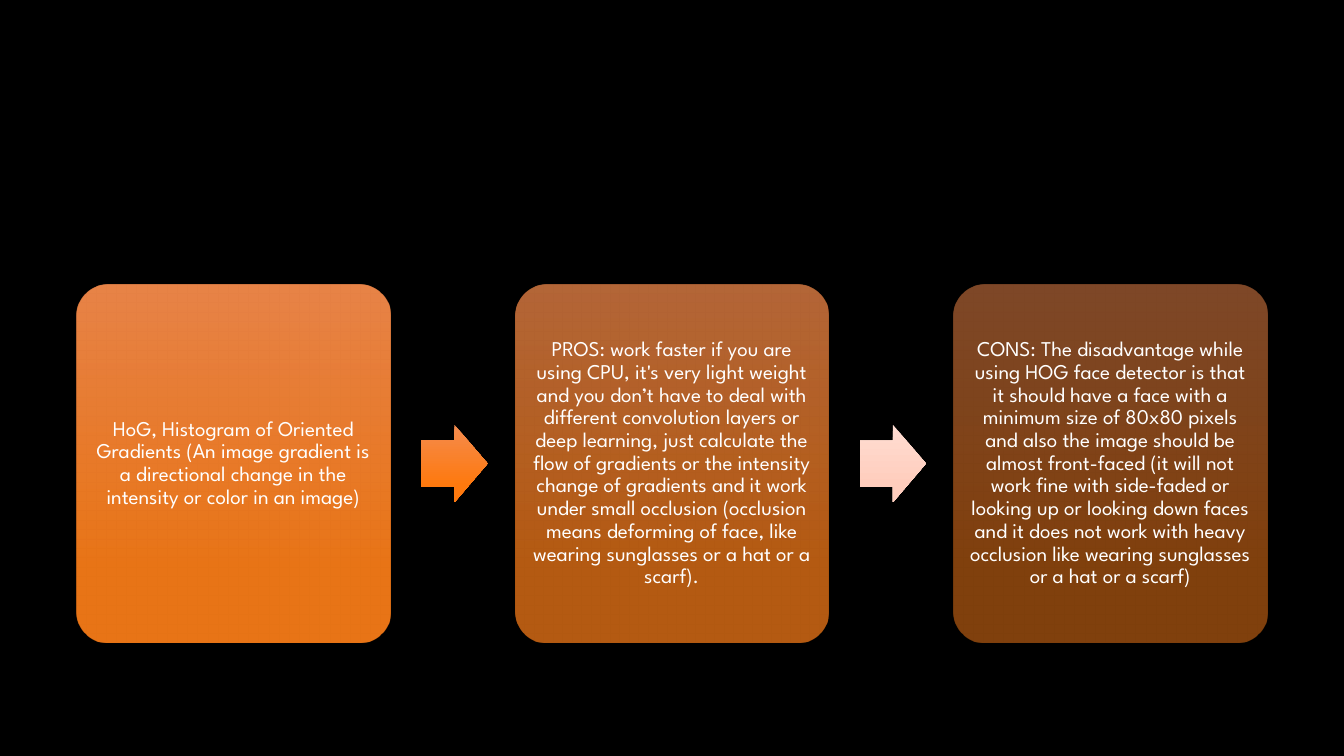
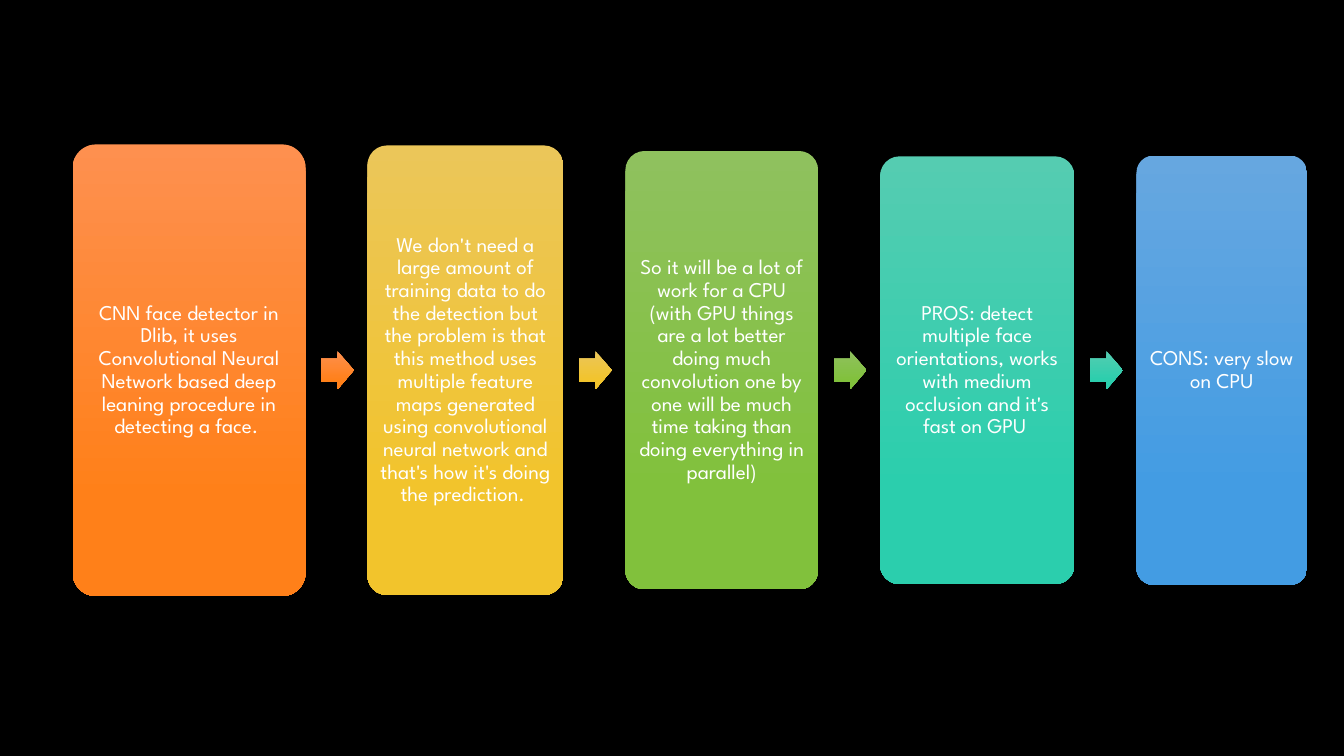
from dataclasses import dataclass

import pptx
import pptx.util
from pptx.dml.color import RGBColor
from pptx.enum.shapes import MSO_SHAPE
from pptx.enum.text import MSO_ANCHOR, PP_ALIGN
from pptx.oxml.ns import qn
from lxml import etree

Cm = pptx.util.Cm

FONT = "League Spartan"
BACKGROUND = "000000"
TEXT = "FFFFFF"

# Gradients as (top, bottom)
ORANGE = ("FE904F", "FF8019")
DEEP_ORANGE = ("F48B4E", "FE790E")
PEACH = ("FFDDD2", "FFCDBD")
YELLOW = ("EBC659", "F2C42C")
GREEN = ("8FC15E", "81C13C")
TEAL = ("55CCB1", "2BCEAD")
BLUE = ("66A7E0", "439CE3")


@dataclass
class Step:
    """A card and, unless arrow is None, the arrow after it; sizes in cm."""
    text: str
    width: float
    height: float
    colors: tuple
    arrow: tuple = None
    opacity: int = 100


HOG_STEPS = [
    Step("HoG, Histogram of Oriented Gradients (An image gradient is a "
         "directional change in the intensity or color in an image)",
         7.9, 9.04, ORANGE, DEEP_ORANGE, 90),
    Step("PROS: work faster if you are using CPU, it's very light weight and "
         "you don’t have to deal with different convolution layers or deep "
         "learning, just calculate the flow of gradients or the intensity "
         "change of gradients and it work under small occlusion (occlusion "
         "means deforming of face, like wearing sunglasses or a hat or a "
         "scarf).",
         7.9, 9.04, ORANGE, PEACH, 70),
    Step("CONS: The disadvantage while using HOG face detector is that it "
         "should have a face with a minimum size of 80x80 pixels and also the "
         "image should be almost front-faced (it will not work fine with "
         "side-faded or looking up or looking down faces and it does not work "
         "with heavy occlusion like wearing sunglasses or a hat or a scarf)",
         7.9, 9.04, ORANGE, None, 50),
]

CNN_STEPS = [
    Step("CNN face detector in Dlib, it uses Convolutional Neural Network "
         "based deep leaning procedure in detecting a face. ",
         5.87, 11.38, ORANGE, ORANGE),
    Step("We don't need a large amount of training data to do the detection "
         "but the problem is that this method uses multiple feature maps "
         "generated using convolutional neural network and that's how it's "
         "doing the prediction. ",
         4.94, 11.33, YELLOW, YELLOW),
    Step("So it will be a lot of work for a CPU (with GPU things are a lot "
         "better doing much convolution one by one will be much time taking "
         "than doing everything in parallel)",
         4.86, 11.05, GREEN, GREEN),
    Step("PROS: detect multiple face orientations, works with medium "
         "occlusion and it's fast on GPU ",
         4.9, 10.78, TEAL, TEAL),
    Step("CONS: very slow on CPU", 4.3, 10.82, BLUE),
]


def rgb(hex_color):
    return RGBColor.from_string(hex_color)


def add_gradient_shape(s, kind, left, middle, width, height, adjustments,
                       colors, opacity=100):
    """Add a borderless shape, centred on the height middle (cm)."""
    sp = s.shapes.add_shape(kind, Cm(left), Cm(middle - height / 2),
                            Cm(width), Cm(height))
    for i, value in enumerate(adjustments):
        sp.adjustments[i] = value
    sp.shadow.inherit = False
    sp.line.fill.background()
    sp.fill.gradient()
    sp.fill.gradient_angle = 270
    for stop, position, color in zip(sp.fill.gradient_stops, (0, 0.78), colors):
        stop.position = position
        stop.color.rgb = rgb(color)
    if opacity < 100:
        for color in sp._element.spPr.iter(qn("a:srgbClr")):
            etree.SubElement(color, qn("a:alpha"), val=str(opacity * 1000))
    return sp


def add_card(s, step, left, middle):
    sp = add_gradient_shape(s, MSO_SHAPE.ROUNDED_RECTANGLE, left, middle,
                            step.width, step.height, [0.1], step.colors,
                            step.opacity)
    tf = sp.text_frame
    tf.word_wrap = True
    tf.vertical_anchor = MSO_ANCHOR.MIDDLE
    tf.margin_left = tf.margin_right = Cm(0.16)
    tf.margin_top = tf.margin_bottom = Cm(0.16)
    p = tf.paragraphs[0]
    p.text = step.text
    p.alignment = PP_ALIGN.CENTER
    p.line_spacing = 0.9
    p.font.name = FONT
    p.font.size = pptx.util.Pt(15)
    p.font.color.rgb = rgb(TEXT)


def add_flow_slide(prs, steps, left, middle, gap):
    """Lay cards out from left to right, with arrows scaled to the gap."""
    s = prs.slides.add_slide(prs.slide_layouts[6])
    for step in steps:
        add_card(s, step, left, middle)
        left += step.width
        if step.arrow:
            add_gradient_shape(s, MSO_SHAPE.RIGHT_ARROW, left + gap / 4, middle,
                               0.53 * gap, 0.62 * gap, [0.6, 0.5], step.arrow)
        left += gap


def main():
    prs = pptx.Presentation()
    prs.slide_width, prs.slide_height = Cm(33.87), Cm(19.05)
    fill = prs.slide_master.background.fill
    fill.solid()
    fill.fore_color.rgb = rgb(BACKGROUND)

    add_flow_slide(prs, HOG_STEPS, left=1.93, middle=11.68, gap=3.15)
    add_flow_slide(prs, CNN_STEPS, left=1.83, middle=9.33, gap=1.56)
    prs.save("out.pptx")


if __name__ == "__main__":
    main()
